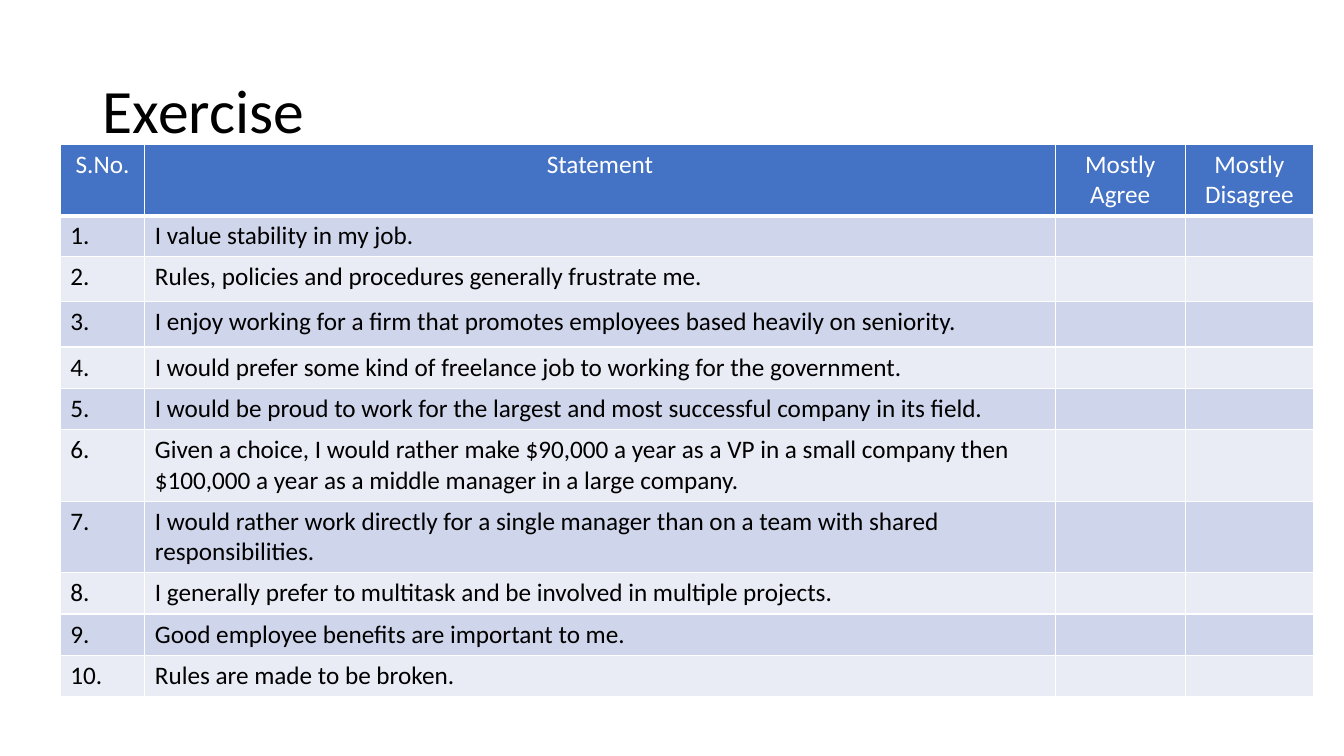
from lxml import etree
from pptx import Presentation
from pptx import util as u
from pptx.dml.color import RGBColor
from pptx.enum import text
from pptx.oxml import ns

COLORS = {
    "header": "4472C4",
    "odd": "CFD5EA",
    "even": "E9EBF5",
    "white": "FFFFFF",
    "black": "000000",
}
HEADINGS = ["S.No.", "Statement", "Mostly Agree", "Mostly Disagree"]
STATEMENTS = [
    "I value stability in my job.",
    "Rules, policies and procedures generally frustrate me.",
    "I enjoy working for a firm that promotes employees based heavily on seniority.",
    "I would prefer some kind of freelance job to working for the government.",
    "I would be proud to work for the largest and most successful company in its field.",
    "Given a choice, I would rather make $90,000 a year as a VP in a small company then "
    "$100,000 a year as a middle manager in a large company.",
    "I would rather work directly for a single manager than on a team with shared "
    "responsibilities.",
    "I generally prefer to multitask and be involved in multiple projects.",
    "Good employee benefits are important to me.",
    "Rules are made to be broken.",
]
COLUMN_WIDTHS = [2.13, 22.94, 3.28, 3.23]
ROW_HEIGHTS = [0.84, 0.99, 1.14, 1.14] + [1.04] * 7


def write_text(frame, content, *, font="Calibri", size=18, color="black",
               align=text.PP_ALIGN.LEFT, line_spacing=None):
    """Fill the first paragraph of a text frame and format it."""
    paragraph = frame.paragraphs[0]
    paragraph.alignment = align
    if line_spacing:
        paragraph.line_spacing = line_spacing
    paragraph.font.size = u.Pt(size)
    if content:
        run = paragraph.add_run()
        run.text = content
        run.font.name = font
        run.font.size = u.Pt(size)
        run.font.color.rgb = RGBColor.from_string(COLORS[color])


class SlideBuilder:
    def __init__(self, presentation):
        title_only = presentation.slide_layouts[5]
        self.slide = presentation.slides.add_slide(title_only)

    def title(self, content, left, top, width, height):
        shape = self.slide.shapes.title
        shape.left, shape.top = u.Cm(left), u.Cm(top)
        shape.width, shape.height = u.Cm(width), u.Cm(height)
        frame = shape.text_frame
        frame.word_wrap = True
        frame.auto_size = text.MSO_AUTO_SIZE.NONE
        frame.vertical_anchor = text.MSO_ANCHOR.MIDDLE
        write_text(frame, content, size=44, line_spacing=0.9)

    def borders(self, cell, bottom=1):
        properties = cell._tc.get_or_add_tcPr()
        widths = {"a:lnL": 1, "a:lnR": 1, "a:lnT": 1, "a:lnB": bottom}
        for tag, width in widths.items():
            line = etree.SubElement(properties, ns.qn(tag), w=str(u.Pt(width)))
            fill = etree.SubElement(line, ns.qn("a:solidFill"))
            etree.SubElement(fill, ns.qn("a:srgbClr"), val=COLORS["white"])

    def table(self, rows, left, top, column_widths, row_heights):
        table = self.slide.shapes.add_table(
            len(rows), len(column_widths), u.Cm(left), u.Cm(top),
            u.Cm(sum(column_widths)), u.Cm(sum(row_heights))).table
        for column, width in zip(table.columns, column_widths):
            column.width = u.Cm(width)
        for row_index, values in enumerate(rows):
            table.rows[row_index].height = u.Cm(row_heights[row_index])
            is_header = row_index == 0
            fill = "header" if is_header else "odd" if row_index % 2 else "even"
            for column_index, value in enumerate(values):
                cell = table.cell(row_index, column_index)
                self.borders(cell, bottom=3 if is_header else 1)
                cell.fill.solid()
                cell.fill.fore_color.rgb = RGBColor.from_string(COLORS[fill])
                write_text(
                    cell.text_frame, value,
                    color="white" if is_header else "black",
                    align=text.PP_ALIGN.CENTER if is_header else text.PP_ALIGN.LEFT)


def main():
    presentation = Presentation()
    presentation.slide_width = u.Cm(33.87)
    presentation.slide_height = u.Cm(19.05)
    builder = SlideBuilder(presentation)

    # Title
    builder.title("Exercise", 2.34, 1.02, 29.21, 3.68)

    # Questionnaire with empty answer columns
    questions = [[f"{number}.", statement, "", ""]
                 for number, statement in enumerate(STATEMENTS, 1)]
    builder.table([HEADINGS] + questions, 1.52, 3.63, COLUMN_WIDTHS, ROW_HEIGHTS)

    presentation.save("out.pptx")


if __name__ == "__main__":
    main()
